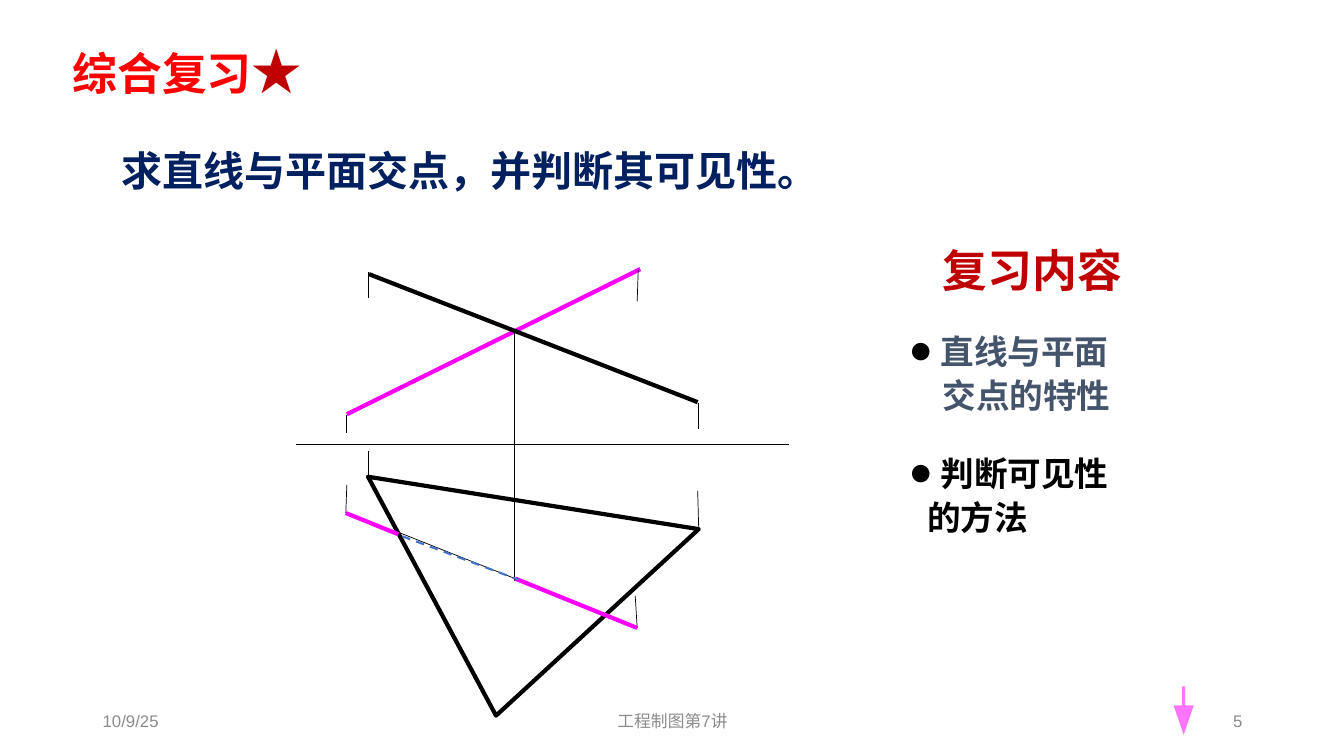
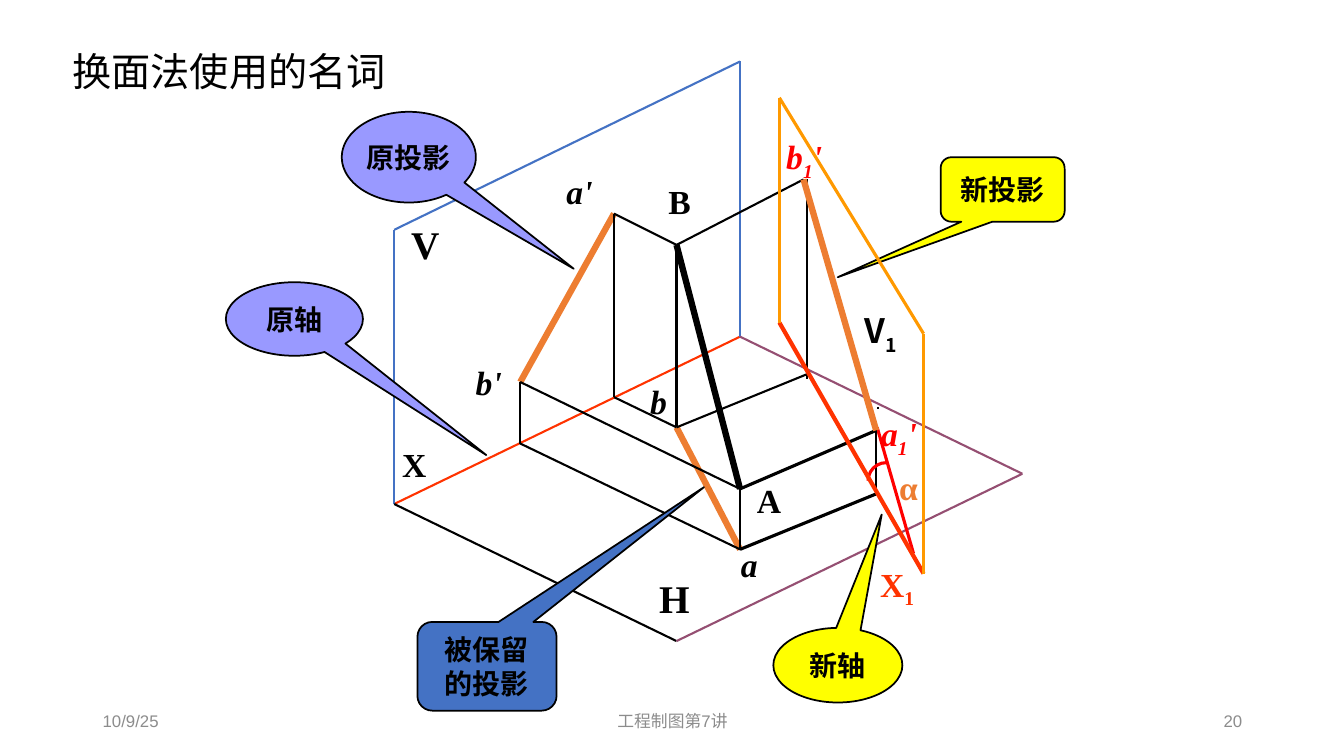
from functools import partial

from lxml import etree
from pptx import Presentation
from pptx.dml.color import RGBColor
from pptx.enum.dml import MSO_LINE
from pptx.enum.shapes import MSO_CONNECTOR, MSO_SHAPE
from pptx.enum.text import MSO_ANCHOR, PP_ALIGN
from pptx.oxml.ns import qn
from pptx.util import Inches, Pt

LEFT, MID, RIGHT = PP_ALIGN.LEFT, PP_ALIGN.CENTER, PP_ALIGN.RIGHT
TOP, CENTER = MSO_ANCHOR.TOP, MSO_ANCHOR.MIDDLE
STRAIGHT, DASH = MSO_CONNECTOR.STRAIGHT, MSO_LINE.DASH
ARROW, ARC = MSO_SHAPE.DOWN_ARROW, MSO_SHAPE.ARC
OVAL = MSO_SHAPE.OVAL_CALLOUT
ROUND = MSO_SHAPE.ROUNDED_RECTANGULAR_CALLOUT

# The slide is a grid of 13.33 columns and 7.5 rows, one inch each.
COLS, ROWS = 13.33, 7.5
SANS, SERIF, HAN = "Arial", "Times New Roman", "Noto Sans CJK SC"
INK = {
    "black": "000000", "gray": "8C8C8C", "red": "FF0000", "crimson": "C00000",
    "navy": "002060", "slate": "44546A", "pink": "FF00FF", "rose": "FF66FF",
    "blue": "4472C4", "orange": "ED7D31", "amber": "FF9900", "flame": "FF3300",
    "plum": "954F72", "lilac": "9999FF", "yellow": "FFFF00",
}


def rgb(name):
    return RGBColor.from_string(INK[name])


def style(para, size, color, bold=False, italic=False, face=SANS):
    font = para.font
    font.size, font.bold, font.italic = Pt(size), bold, italic
    font.color.rgb = rgb(color)
    font.name = face
    props = para._p.pPr.find(qn("a:defRPr"))
    etree.SubElement(props, qn("a:ea")).set("typeface", HAN)


def frame(slide, box, anchor=TOP):
    text = slide.shapes.add_textbox(*map(Inches, box)).text_frame
    text.word_wrap, text.vertical_anchor = True, anchor
    return text


def write(slide, box, words, size, color, align=LEFT, anchor=TOP, **look):
    para = frame(slide, box, anchor).paragraphs[0]
    para.alignment = align
    para.add_run().text = words
    style(para, size, color, **look)
    return para


def line(slide, org, start, end, color="black", width=1.5, dash=None):
    """Draw a line between two points given from the corner org."""
    ends = [Inches(o + v) for pt in (start, end) for o, v in zip(org, pt)]
    link = slide.shapes.add_connector(STRAIGHT, *ends)
    link.line.color.rgb, link.line.width = rgb(color), Pt(width)
    if dash:
        link.line.dash_style = dash
    etree.SubElement(link._element.spPr, qn("a:effectLst"))


def outline(slide, org, points, color, width):
    """Draw a closed, unfilled outline."""
    spots = [tuple(Inches(o + v) for o, v in zip(org, pt)) for pt in points]
    form = slide.shapes.build_freeform(*spots[0])
    form.add_line_segments(spots[1:], close=True)
    shape = form.convert_to_shape()
    shape.shadow.inherit = False
    shape.fill.background()
    shape.line.color.rgb, shape.line.width = rgb(color), Pt(width)


def label(slide, org, spot, name, color="black", size=24, italic=False,
          sub="", mark="", face=SERIF):
    """Name a point, with a subscript and a prime mark if given."""
    box = (org[0] + spot[0], org[1] + spot[1], 1, 0.55)
    para = write(slide, box, name, size, color, bold=True, italic=italic,
                 face=face)
    if sub:
        low = para.add_run()
        low.text = sub
        low._r.get_or_add_rPr().set("baseline", "-25000")
    if mark:
        para.add_run().text = mark


def footer(slide, page):
    top, tall = 6.95, 0.4
    for left, wide, words, align in (
            (0.92, 3, "10/9/25", LEFT), (4.42, 4.5, "工程制图第7讲", MID),
            (9.42, 3, page, RIGHT)):
        write(slide, (left, top, wide, tall), words, 12, "gray", align, CENTER)


def title(slide, words, size, color, bold=False):
    return write(slide, (0.62, 0.34, 3.85, 0.72), words, size, color,
                 anchor=CENTER, bold=bold)


def views(slide, org):
    """Front and top views of a line that meets a plane."""
    draw = partial(line, slide, org)
    draw((1.05, 2.68), (3.09, 3.49), width=0.5)
    draw((0.04, 1.81), (4.93, 1.81), width=0.5)
    draw((0.54, 1.51), (3.45, 0.07), "pink", 3)
    draw((0.76, 0.12), (4.02, 1.39), width=3)
    draw((2.2, 0.68), (2.2, 3.16), width=0.5)
    ticks = (
        ((0.75, 0.1), (0.75, 0.36)), ((3.43, 0.08), (3.42, 0.39)),
        ((0.54, 1.52), (0.54, 1.7)), ((4.03, 1.4), (4.03, 1.66)),
        ((0.75, 1.87), (0.75, 2.13)), ((0.54, 2.21), (0.53, 2.49)),
        ((4.02, 2.27), (4.03, 2.65)), ((3.4, 3.31), (3.42, 3.63)),
    )
    for start, end in ticks:
        draw(start, end, width=0.5)
    outline(slide, org, ((0.75, 2.13), (4.03, 2.65), (2.02, 4.5)), "black", 3)
    draw((0.53, 2.49), (1.05, 2.7), "pink", 3)
    draw((2.21, 3.14), (3.42, 3.63), "pink", 3)
    draw((1.09, 2.72), (2.24, 3.15), "blue", 1.5, DASH)


def bullet(slide, box, rows, color, inset):
    """Two rows of text, a dot before the first."""
    text = frame(slide, box)
    for num, row in enumerate(rows):
        para = text.add_paragraph() if num else text.paragraphs[0]
        para.line_spacing = 1.1
        props = para._p.get_or_add_pPr()
        props.set("marL", str(Inches(inset if num else 0.29)))
        props.set("indent", str(0 if num else Inches(-0.29)))
        if not num:
            tint = etree.SubElement(props, qn("a:buClr"))
            etree.SubElement(tint, qn("a:srgbClr")).set("val", INK["black"])
            for tag, key, val in (("a:buSzPct", "val", "58000"),
                                  ("a:buFont", "typeface", HAN),
                                  ("a:buChar", "char", "●")):
                etree.SubElement(props, qn(tag)).set(key, val)
        para.add_run().text = row
        style(para, 24, color, bold=True)


def review(slide, org):
    """The list of topics beside the views."""
    left, top = org
    write(slide, (left + 0.13, top, 2.16, 0.64), "复习内容", 32, "crimson",
          RIGHT, bold=True)
    bullet(slide, (left, top + 0.83, 2.7, 0.99),
           ("直线与平面", "交点的特性"), "slate", 0.31)
    bullet(slide, (left, top + 2.04, 2.7, 0.99),
           ("判断可见性", "的方法"), "black", 0.16)


def arrow(slide, box):
    shape = slide.shapes.add_shape(ARROW, *map(Inches, box))
    shape.shadow.inherit = False
    shape.adjustments[0], shape.adjustments[1] = 0.15, 1.46
    shape.fill.solid()
    shape.fill.fore_color.rgb = rgb("rose")
    tint = shape._element.spPr.find(".//" + qn("a:srgbClr"))
    etree.SubElement(tint, qn("a:alpha")).set("val", "90000")
    shape.line.fill.background()


def space(slide, org):
    """Planes V and H, the line AB and its projections."""
    draw, name = partial(line, slide, org), partial(label, slide, org)
    west, east = (0, 4.39), (3.43, 2.73)
    high, low = (3.43, 0), (0, 1.67)
    front, far = (2.8, 5.75), (6.23, 4.09)
    big_a, big_b = (3.43, 4.24), (2.8, 1.82)
    a, b = (3.43, 4.84), (2.8, 3.63)
    a_v, b_v = (2.18, 1.51), (1.25, 3.18)
    a_x, b_x = (2.18, 3.33), (1.25, 3.79)
    a_new, b_new = (4.78, 3.66), (4.06, 1.17)
    a_foot, b_foot = (4.78, 4.29), (4.1, 3.1)

    draw(b, a, "orange", 4.5)
    draw(west, east, "flame")
    for start, end, color in (
            (east, high, "blue"), (high, low, "blue"), (low, west, "blue"),
            (west, front, "black"), (front, far, "plum"), (far, east, "plum")):
        draw(start, end, color)
    draw(b_v, a_v, "orange", 4.5)
    for start, end in ((b_v, b_x), (a_v, a_x), (a_x, b), (b, big_b),
                       (big_b, a_v), (b_x, a), (a, big_a), (big_a, b_v)):
        draw(start, end)
    draw(big_b, big_a, width=4.5)
    draw((4.79, 3.63), (5.15, 4.88), "red", 2.25)
    draw((4.09, 1.17), (4.09, 3.15))
    draw((4.8, 3.43), (4.8, 3.45))
    for start, end, width in (
            (a, a_foot, 2.25), (b, b_foot, 1.5), (a_foot, a_new, 1.5),
            (big_a, a_new, 2.25), (big_b, b_new, 1.5)):
        draw(start, end, width=width)
    draw(a_new, b_new, "orange", 4.5)

    name((0.07, 1.53), "V", size=28)
    name((2.53, 5.04), "H", size=28)
    name((-0.02, 3.74), "X")
    name((3.5, 4.1), "A")
    name((2.62, 1.14), "B")
    name((1.61, 1.04), "a'", italic=True)
    name((0.71, 2.93), "b'", italic=True)
    name((3.34, 4.74), "a", italic=True)
    name((2.44, 3.12), "b", italic=True)
    name((4.91, 3.97), "α", "orange")
    name((4.73, 3.44), "a", "red", italic=True, sub="1", mark="'")
    name((3.79, 0.69), "b", "red", italic=True, sub="1", mark="'")

    spot = (org[0] + 4.7, org[1] + 3.98, 0.36, 0.36)
    angle = slide.shapes.add_shape(ARC, *map(Inches, spot))
    angle.shadow.inherit = False
    angle.adjustments[0], angle.adjustments[1] = 108, 162  # 180° to 270°
    angle.fill.background()
    angle.line.color.rgb, angle.line.width = rgb("red"), Pt(2.25)


def plane(slide, org):
    """The new plane V1, standing on the new axis X1."""
    draw, name = partial(line, slide, org), partial(label, slide, org)
    foot, top, edge, base = (0, 2.23), (0, 0), (1.43, 2.34), (1.43, 4.72)
    draw(base, foot, "flame", 3)
    for start, end in ((foot, top), (top, edge), (edge, base)):
        draw(start, end, "amber", 2.25)
    name((0.9, 4.57), "X", "flame", sub="1")
    name((0.75, 2.06), "V", sub="1", face=HAN)


def callout(slide, kind, box, tip, fill, rows):
    shape = slide.shapes.add_shape(kind, *map(Inches, box))
    shape.shadow.inherit = False
    shape.adjustments[0], shape.adjustments[1] = tip
    shape.fill.solid()
    shape.fill.fore_color.rgb = rgb(fill)
    shape.line.color.rgb, shape.line.width = rgb("black"), Pt(1.25)
    text = shape.text_frame
    text.word_wrap, text.vertical_anchor = False, CENTER
    for num, row in enumerate(rows):
        para = text.add_paragraph() if num else text.paragraphs[0]
        para.alignment = MID
        para.add_run().text = row
        style(para, 20, "black", bold=True, face=SERIF)


def problem(slide):
    head = title(slide, "综合复习", 32, "red", bold=True)
    star = head.add_run()
    star.text = "★"
    star.font.size, star.font.bold, star.font.name = Pt(36), False, HAN
    star.font.color.rgb = rgb("crimson")
    write(slide, (1.11, 1.39, 8.06, 0.59),
          "求直线与平面交点，并判断其可见性。", 29.3, "navy", bold=True)
    views(slide, (2.9, 2.6))
    review(slide, (8.94, 2.36))
    arrow(slide, (11.64, 6.81, 0.2, 0.48))
    footer(slide, "5")


def terms(slide):
    title(slide, "换面法使用的名词", 28, "black")
    space(slide, (3.91, 0.61))
    for kind, box, tip, fill, *rows in (
            (OVAL, (7.67, 6.23, 1.28, 0.74), (0.34, -2.02), "yellow", "新轴"),
            (OVAL, (2.24, 2.8, 1.36, 0.73), (1.4, 1.85), "lilac", "原轴"),
            (ROUND, (9.33, 1.56, 1.23, 0.64), (-1.33, 1.36), "yellow",
             "新投影"),
            (OVAL, (3.39, 1.11, 1.33, 0.9), (1.23, 1.23), "lilac", "原投影"),
            (ROUND, (4.14, 6.17, 1.38, 0.88), (1.56, -2.02), "blue",
             "被保留", "的投影")):
        callout(slide, kind, box, tip, fill, rows)
    plane(slide, (7.73, 0.97))
    footer(slide, "20")


def main():
    deck = Presentation()
    deck.slide_width, deck.slide_height = Inches(COLS), Inches(ROWS)
    for build in (problem, terms):
        build(deck.slides.add_slide(deck.slide_layouts[6]))
    deck.save("out.pptx")


if __name__ == "__main__":
    main()
